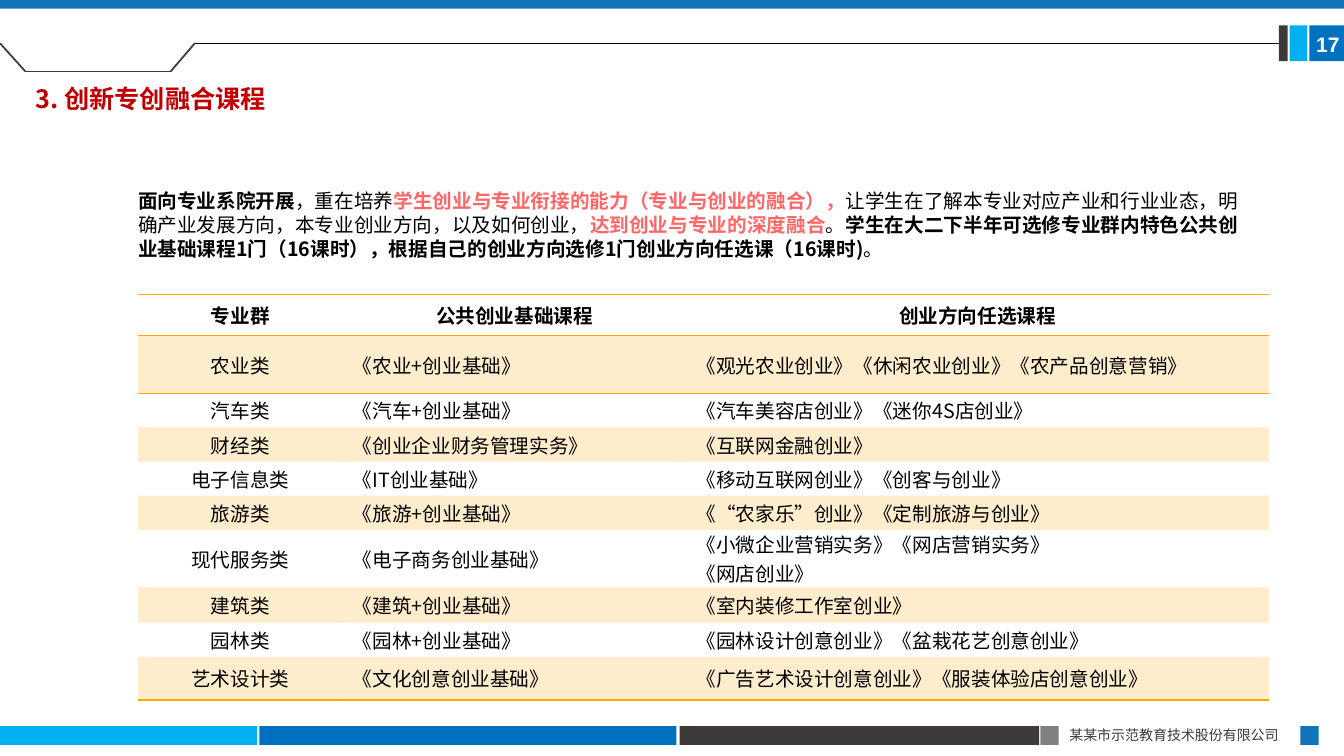
from lxml import etree
from pptx import Presentation
from pptx.dml.color import RGBColor
from pptx.enum.shapes import MSO_CONNECTOR, MSO_SHAPE
from pptx.enum.text import MSO_ANCHOR, PP_ALIGN
from pptx.oxml.ns import qn
from pptx.util import Cm, Pt

RECTANGLE = MSO_SHAPE.RECTANGLE
STRAIGHT = MSO_CONNECTOR.STRAIGHT
TOP, MIDDLE = MSO_ANCHOR.TOP, MSO_ANCHOR.MIDDLE
LEFT, CENTER = PP_ALIGN.LEFT, PP_ALIGN.CENTER
CJK_FONT = "Noto Sans CJK SC"
COLORS = {
    "sky": "00B0F0", "blue": "0070C0", "band": "1074BB", "dark": "3E3A39",
    "gray": "808080", "black": "000000", "white": "FFFFFF",
    "red": "C00000", "coral": "FF6666", "orange": "FEA501",
}


def color(name):
    return RGBColor.from_string(COLORS[name])


def add_run(paragraph, text, size=14, fill="black", bold=False, font=CJK_FONT):
    run = paragraph.add_run()
    run.text = text
    run.font.size = Pt(size)
    run.font.bold = bold
    run.font.color.rgb = color(fill)
    run.font.name = font
    etree.SubElement(run.font._element, qn("a:ea"), typeface=font)


presentation = Presentation()
presentation.slide_width = Cm(33.87)
presentation.slide_height = Cm(19.05)
slide = presentation.slides.add_slide(presentation.slide_layouts[5])
shapes = slide.shapes

# Header and footer bars: left, top, width, height, colour
bars = [
    (0, 18.3, 6.48, 0.47, "sky"),
    (6.54, 18.3, 10.51, 0.47, "blue"),
    (17.13, 18.3, 9.06, 0.47, "dark"),
    (26.22, 18.3, 0.46, 0.47, "gray"),
    (32.77, 18.3, 0.46, 0.47, "band"),
    (0, 0, 33.87, 0.22, "band"),
    (33, 0.64, 0.87, 0.9, "blue"),
    (32.5, 0.64, 0.44, 0.9, "sky"),
    (32.23, 0.64, 0.22, 0.9, "dark"),
]
for left, top, width, height, fill in bars:
    bar = shapes.add_shape(RECTANGLE, Cm(left), Cm(top), Cm(width), Cm(height))
    bar.shadow.inherit = False
    bar.fill.solid()
    bar.fill.fore_color.rgb = color(fill)
    bar.line.fill.background()
page_marker = bar

# Tab outline and header rule
header_y, tab_y = 1.09, 1.8
header_lines = [
    (0.64, tab_y, 4.3, tab_y, "dark", 1.25),
    (4.3, tab_y, 4.91, header_y, "dark", 1.25),
    (0.64, tab_y, 0, header_y, "dark", 1.25),
    (4.91, header_y, 32.23, header_y, "black", 0.5),
]
for x1, y1, x2, y2, stroke, width in header_lines:
    line = shapes.add_connector(STRAIGHT, Cm(x1), Cm(y1), Cm(x2), Cm(y2))
    line.line.color.rgb = color(stroke)
    line.line.width = Pt(width)
    etree.SubElement(line._element.spPr, qn("a:effectLst"))
line.end_connect(page_marker, 1)

title = shapes.title
title.left, title.top, title.width, title.height = Cm(0.64), Cm(2.11), Cm(6.4), Cm(1.02)
title.text_frame.word_wrap = True
title.text_frame.vertical_anchor = TOP
heading = title.text_frame.paragraphs[0]
heading.alignment = LEFT
heading.line_spacing = 0.82
add_run(heading, "3. 创新专创融合课程", size=18, fill="red", bold=True)

# Text boxes: left, top, width, height, line spacing, runs
text_boxes = [
    (26.7, 18.19, 6.1, 0.69, 1, [
        ("某某市示范教育技术股份有限公司", {"size": 10, "fill": "dark"}),
    ]),
    (32.92, 0.66, 1.27, 0.89, 1, [
        ("17", {"size": 15, "fill": "white", "bold": True, "font": "Arial"}),
    ]),
    (3.23, 4.62, 28.73, 2.49, 1.02, [
        ("面向专业系院开展", {"bold": True}),
        ("，重在培养", {}),
        ("学生创业与专业衔接的能力（专业与创业的融合），", {"fill": "coral", "bold": True}),
        ("让学生在了解本专业对应产业和行业业态，明确产业发展方向，本专业创业方向，以及如何创业，", {}),
        ("达到创业与专业的深度融合", {"fill": "coral", "bold": True}),
        ("。", {}),
        ("学生在大二下半年可选修专业群内特色公共创业基础课程1门（16课时），"
         "根据自己的创业方向选修1门创业方向任选课（16课时)", {"bold": True}),
        ("。", {}),
    ]),
]
for left, top, width, height, spacing, runs in text_boxes:
    box = shapes.add_textbox(Cm(left), Cm(top), Cm(width), Cm(height))
    box.text_frame.word_wrap = True
    paragraph = box.text_frame.paragraphs[0]
    paragraph.line_spacing = spacing
    for text, text_format in runs:
        add_run(paragraph, text, **text_format)

courses = [
    ("专业群", "公共创业基础课程", "创业方向任选课程"),
    ("农业类", "《农业+创业基础》", "《观光农业创业》《休闲农业创业》《农产品创意营销》"),
    ("汽车类", "《汽车+创业基础》", "《汽车美容店创业》《迷你4S店创业》"),
    ("财经类", "《创业企业财务管理实务》", "《互联网金融创业》"),
    ("电子信息类", "《IT创业基础》", "《移动互联网创业》《创客与创业》"),
    ("旅游类", "《旅游+创业基础》", "《“农家乐”创业》《定制旅游与创业》"),
    ("现代服务类", "《电子商务创业基础》", "《小微企业营销实务》《网店营销实务》\n《网店创业》"),
    ("建筑类", "《建筑+创业基础》", "《室内装修工作室创业》"),
    ("园林类", "《园林+创业基础》", "《园林设计创意创业》《盆栽花艺创意创业》"),
    ("艺术设计类", "《文化创意创业基础》", "《广告艺术设计创意创业》《服装体验店创意创业》"),
]
column_widths = [5.16, 8.66, 14.68]
row_heights = [1.04, 1.45, 0.86, 0.86, 0.86, 0.86, 1.45, 0.89, 0.86, 1.09]
table_frame = shapes.add_table(len(courses), 3, Cm(3.48), Cm(7.42),
                               Cm(sum(column_widths)), Cm(sum(row_heights)))
table = table_frame.table
table.horz_banding = False
# "No Style, No Grid"
table._tbl.tblPr.find(qn("a:tableStyleId")).text = "{2D5ABB26-0587-4C30-8999-92F81FD0307C}"
for column, width in zip(table.columns, column_widths):
    column.width = Cm(width)

last_row = len(courses) - 1
for row_index, row_texts in enumerate(courses):
    table.rows[row_index].height = Cm(row_heights[row_index])
    is_header = row_index == 0
    borders = {0: ["a:lnT", "a:lnB"], 1: ["a:lnT"], last_row: ["a:lnB"]}.get(row_index, [])
    for column_index, text in enumerate(row_texts):
        cell = table.cell(row_index, column_index)
        cell.vertical_anchor = MIDDLE
        cell.margin_top = cell.margin_bottom = 0
        for line_index, line_text in enumerate(text.split("\n")):
            frame = cell.text_frame
            paragraph = frame.add_paragraph() if line_index else frame.paragraphs[0]
            paragraph.alignment = CENTER if is_header or column_index == 0 else LEFT
            add_run(paragraph, line_text, bold=is_header)

        properties = cell._tc.get_or_add_tcPr()
        for border in borders:
            edge = etree.SubElement(properties, qn(border), w=str(Pt(1)))
            edge_fill = etree.SubElement(edge, qn("a:solidFill"))
            etree.SubElement(edge_fill, qn("a:srgbClr"), val=COLORS["orange"])
        if row_index % 2:
            cell.fill.solid()
            cell.fill.fore_color.rgb = color("orange")
            fill_color = properties.find(qn("a:solidFill")).find(qn("a:srgbClr"))
            etree.SubElement(fill_color, qn("a:alpha"), val="20000")
        else:
            cell.fill.background()

presentation.save("out.pptx")
